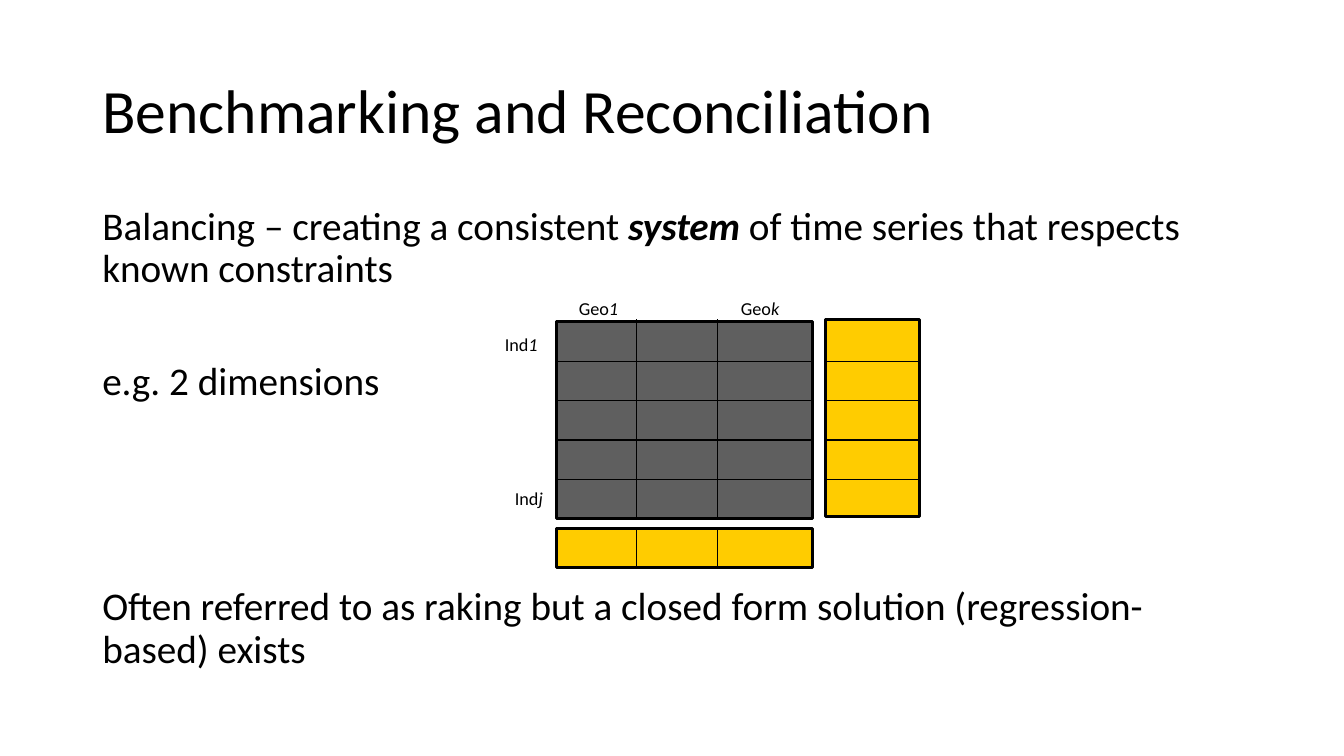
from lxml.etree import SubElement
from pptx import Presentation
from pptx.dml.color import RGBColor
from pptx.enum.shapes import MSO_CONNECTOR as Connector, MSO_SHAPE as Shape
from pptx.enum.text import MSO_ANCHOR as Anchor, PP_ALIGN as Align
from pptx.oxml.ns import qn
from pptx.util import Pt

COLORS = {"ink": "000000", "cells": "5F5F5F", "totals": "FFCC00"}
FONT = "Calibri"
ROW_COUNT, ROW_HEIGHT = 5, 28.2
COLUMN_COUNT, COLUMN_WIDTH = 3, 57.6
GRID_LEFT, GRID_TOP, GRID_WIDTH = 397.4, 229.7, 182.9
GRID_HEIGHT = ROW_COUNT * ROW_HEIGHT


def color(name):
    return RGBColor.from_string(COLORS[name])


def write(paragraph, text, size=28, bold=False, italic=False):
    run = paragraph.add_run()
    run.text = text
    font = run.font
    font.name, font.size, font.bold, font.italic = FONT, Pt(size), bold, italic
    font.color.rgb = color("ink")


class Deck:
    def __init__(self):
        self.presentation = Presentation()
        self.presentation.slide_width = Pt(960)
        self.presentation.slide_height = Pt(540)
        self.slide = None

    def add_slide(self, title):
        layout = self.presentation.slide_layouts.get_by_name("Title Only")
        self.slide = self.presentation.slides.add_slide(layout)
        heading = self.slide.shapes.title
        heading.left, heading.top = Pt(66), Pt(28.8)
        heading.width, heading.height = Pt(828), Pt(104.4)
        heading.text_frame.vertical_anchor = Anchor.MIDDLE
        paragraph = heading.text_frame.paragraphs[0]
        paragraph.alignment = Align.LEFT
        paragraph.line_spacing = 0.9
        write(paragraph, title, size=44)

    def body(self, left, top, width, height, paragraphs):
        """Each paragraph is a pair: space before, list of (text, format)."""
        frame = self.slide.shapes.add_textbox(
            Pt(left), Pt(top), Pt(width), Pt(height)).text_frame
        frame.word_wrap = True
        for index, (space, runs) in enumerate(paragraphs):
            paragraph = frame.add_paragraph() if index else frame.paragraphs[0]
            paragraph.line_spacing = 0.9
            paragraph.space_before = Pt(space)
            for text, style in runs:
                write(paragraph, text, **style)

    def label(self, left, middle, name, subscript):
        frame = self.slide.shapes.add_textbox(
            Pt(left), Pt(middle - 8), Pt(50), Pt(16)).text_frame
        frame.margin_left = frame.margin_right = 0
        frame.margin_top = frame.margin_bottom = 0
        frame.vertical_anchor = Anchor.MIDDLE
        write(frame.paragraphs[0], name, size=13)
        write(frame.paragraphs[0], subscript, size=13, italic=True)

    def panel(self, left, top, width, height, fill):
        panel = self.slide.shapes.add_shape(
            Shape.RECTANGLE, Pt(left), Pt(top), Pt(width), Pt(height))
        panel.shadow.inherit = False
        panel.fill.solid()
        panel.fill.fore_color.rgb = color(fill)
        panel.line.color.rgb = color("ink")
        panel.line.width = Pt(2.25)

    def rule(self, x1, y1, x2, y2):
        rule = self.slide.shapes.add_connector(
            Connector.STRAIGHT, Pt(x1), Pt(y1), Pt(x2), Pt(y2))
        rule.line.color.rgb = color("ink")
        rule.line.width = Pt(0.75)
        SubElement(rule._element.spPr, qn("a:effectLst"))

    def row_rules(self, left, width):
        for row in range(1, ROW_COUNT):
            y = GRID_TOP + row * ROW_HEIGHT
            self.rule(left, y, left + width, y)

    def column_rules(self, top, height):
        for column in range(1, COLUMN_COUNT):
            x = GRID_LEFT + column * COLUMN_WIDTH
            self.rule(x, top, x, top + height)


def main():
    deck = Deck()
    deck.add_slide("Benchmarking and Reconciliation")
    deck.body(66, 144, 828, 342.7, [
        (10, [("Balancing – creating a consistent ", {}),
              ("system", {"bold": True, "italic": True}),
              (" of time series that respects known constraints", {})]),
        (50.5, [("e.g. 2 dimensions", {})]),
        (130.5, [("Often referred to as raking but a closed form solution "
                  "(regression-based) exists", {})]),
    ])

    deck.panel(GRID_LEFT, GRID_TOP, GRID_WIDTH, GRID_HEIGHT, "cells")
    deck.row_rules(GRID_LEFT, GRID_WIDTH)
    deck.column_rules(228.2, GRID_HEIGHT)

    deck.panel(GRID_LEFT, 377.3, GRID_WIDTH, ROW_HEIGHT, "totals")
    deck.column_rules(378, ROW_HEIGHT)

    deck.panel(589.7, 228.2, 67.2, GRID_HEIGHT, "totals")
    deck.row_rules(589.7, 67.2)

    for left, middle, name, subscript in [
        (413.5, 220, "Geo", "1"),
        (529.3, 220, "Geo", "k"),
        (360.6, 245.7, "Ind", "1"),
        (367.8, 355.8, "Ind", "j"),
    ]:
        deck.label(left, middle, name, subscript)

    deck.presentation.save("out.pptx")


if __name__ == "__main__":
    main()
